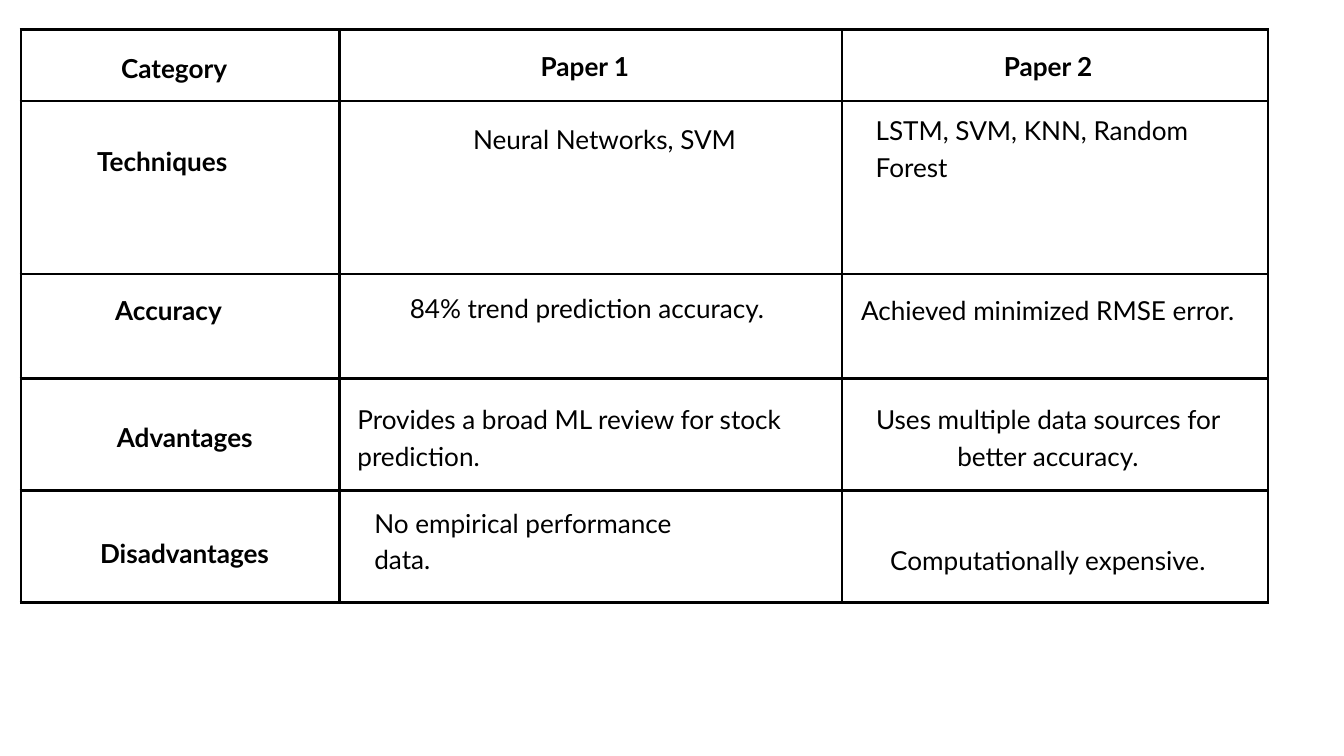
"""Build a slide that compares two papers in a ruled table."""
from lxml.etree import SubElement as Sub
from pptx import Presentation
from pptx.dml.color import RGBColor as RGB
from pptx.enum.text import MSO_AUTO_SIZE as Fit, PP_ALIGN as Align
from pptx.oxml.ns import qn
from pptx.util import Cm, Pt

COLORS = {"ink": "000000", "page": "FFFFFF"}
COLS = [12.04, 19, 16.1]
ROWS = [2.69, 6.55, 3.94, 4.24, 4.24]

deck = Presentation()
deck.slide_width, deck.slide_height = Cm(50.8), Cm(28.58)
slide = deck.slides.add_slide(deck.slide_layouts[6])
slide.background.fill.solid()
slide.background.fill.fore_color.rgb = RGB.from_string(COLORS["page"])


def write(text, left, top, width, height=1.35, bold=False, align=Align.CENTER):
    box = slide.shapes.add_textbox(Cm(left), Cm(top), Cm(width), Cm(height))
    frame = box.text_frame
    frame.margin_left = frame.margin_right = 0
    frame.margin_top = frame.margin_bottom = 0
    frame.word_wrap = True
    frame.auto_size = Fit.SHAPE_TO_FIT_TEXT
    para = frame.paragraphs[0]
    para.alignment = align
    para.line_spacing = Pt(39.2)
    run = para.add_run()
    run.text = text
    font = run.font
    font.name, font.size, font.bold = "Lato", Pt(28), bold
    font.color.rgb = RGB.from_string(COLORS["ink"])


def rule(cell):
    props = cell._tc.get_or_add_tcPr()
    for side in ("lnL", "lnR", "lnT", "lnB"):
        line = Sub(props, qn(f"a:{side}"), w=str(Pt(3)))
        fill = Sub(line, qn("a:solidFill"))
        Sub(fill, qn("a:srgbClr"), val=COLORS["ink"])
    cell.fill.background()


grid = slide.shapes.add_table(
    len(ROWS), len(COLS), Cm(0.79), Cm(1.12), Cm(sum(COLS)), Cm(sum(ROWS))
).table
grid.first_row = grid.horz_banding = False
for col, width in zip(grid.columns, COLS):
    col.width = Cm(width)
for row, height in zip(grid.rows, ROWS):
    row.height = Cm(height)
for cell in grid.iter_cells():
    rule(cell)

heads = [
    ("Category", 1.73, 1.78, 9.7),
    ("Paper 1", 20.32, 1.7, 3.58),
    ("Paper 2", 35.31, 1.7, 8.61),
    ("Techniques", 3.35, 5.31, 5.56),
    ("Accuracy", 1.52, 10.95, 9.7),
    ("Advantages", 4.14, 15.75, 5.69),
    ("Disadvantages", 3.43, 20.12, 7.09),
]
for text, left, top, width in heads:
    write(text, left, top, width, bold=True)

notes = [
    ("Neural Networks, SVM", 17.88, 4.47, 12.22, 1.35, Align.LEFT),
    ("LSTM, SVM, KNN, Random Forest", 33.1, 4.14, 13.84, 2.72, Align.LEFT),
    ("84% trend prediction accuracy.", 12.75, 10.85, 18.87, 1.35, Align.CENTER),
    ("Achieved minimized RMSE error.", 32.08, 10.95, 15.04, 2.72, Align.CENTER),
    ("Provides a broad ML review for stock prediction.",
     13.51, 15.06, 18.11, 2.72, Align.LEFT),
    ("Uses multiple data sources for better accuracy.",
     31.95, 15.06, 15.32, 2.72, Align.CENTER),
    ("No empirical performance data.", 14.15, 18.97, 11.46, 2.72, Align.LEFT),
    ("Computationally expensive.", 32.44, 20.37, 14.33, 1.35, Align.CENTER),
]
for text, left, top, width, height, align in notes:
    write(text, left, top, width, height, align=align)

deck.save("out.pptx")
